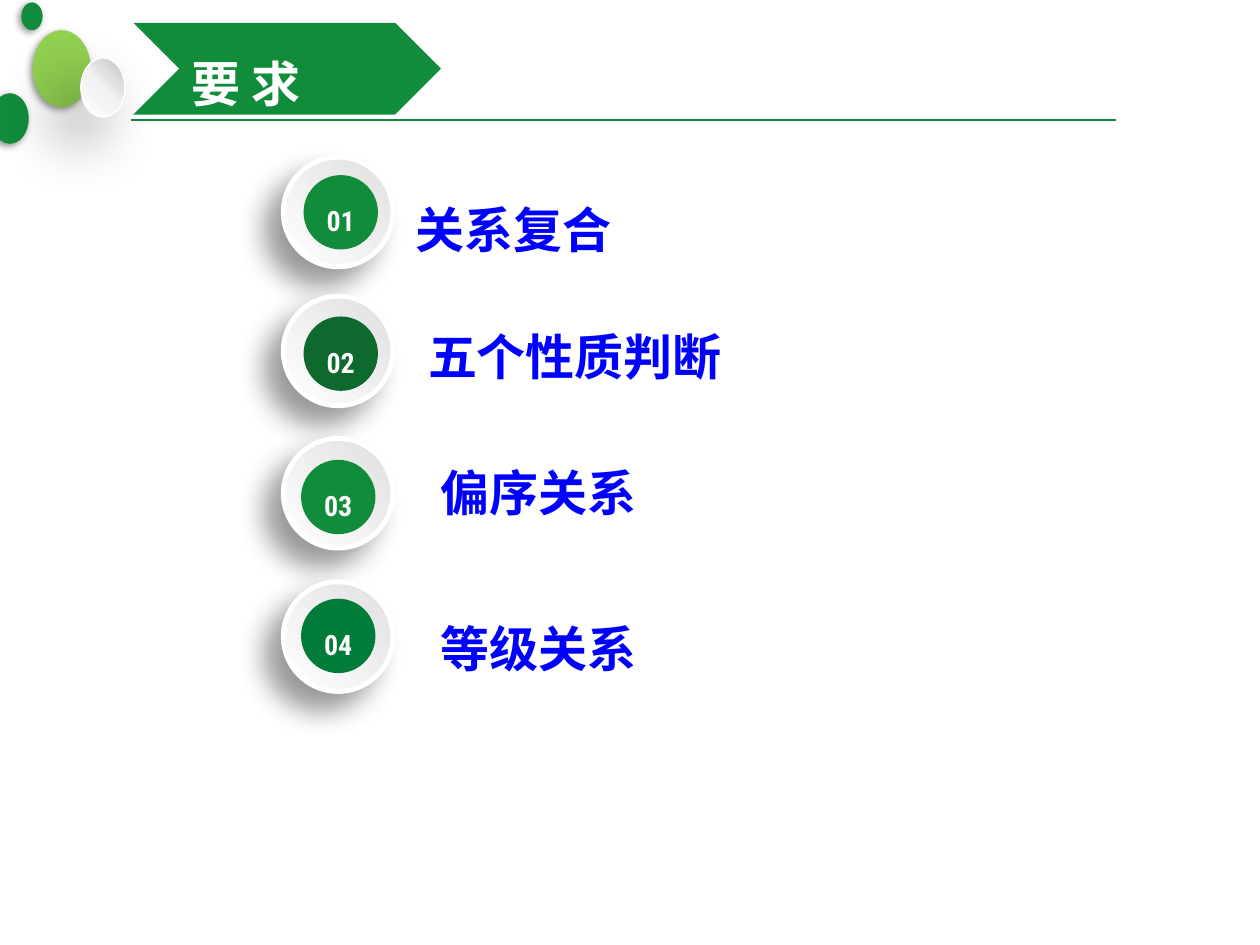
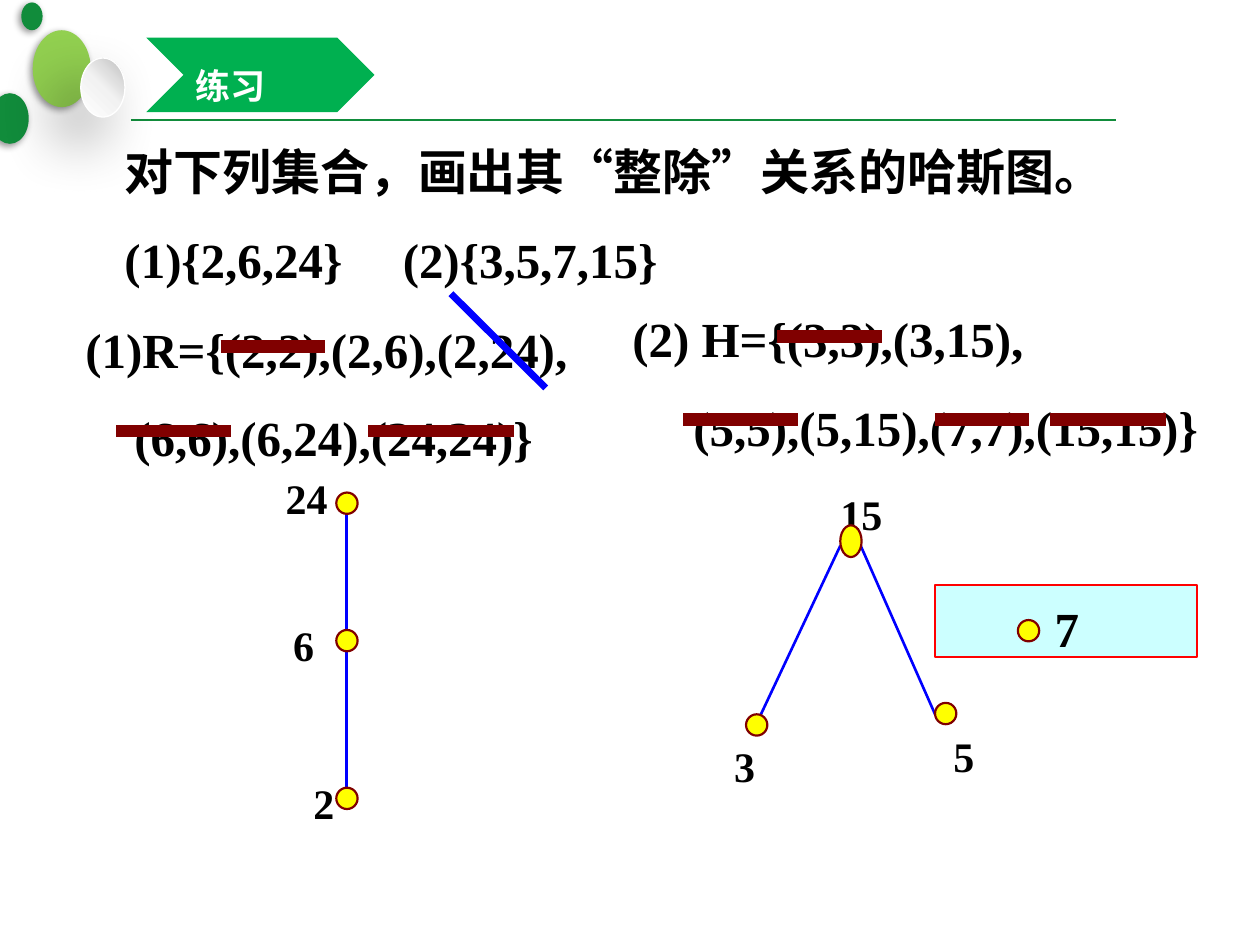
from lxml import etree
from pptx import Presentation
from pptx import util as u
from pptx.dml.color import RGBColor
from pptx.enum import shapes, text
from pptx.oxml import ns

GREEN = RGBColor(0x11, 0x8C, 0x3B)
DARK_GREEN = RGBColor(0x0D, 0x69, 0x2C)
DEEP_GREEN = RGBColor(0x00, 0x7B, 0x38)
BRIGHT_GREEN = RGBColor(0x00, 0xB0, 0x50)
LIME = RGBColor(0x92, 0xD0, 0x50)
WHITE = RGBColor(0xFF, 0xFF, 0xFF)
PALE = RGBColor(0xF2, 0xF2, 0xF2)
SILVER = RGBColor(0xE0, 0xE0, 0xE0)
GRAY = RGBColor(0xBF, 0xBF, 0xBF)
BLACK = RGBColor(0x00, 0x00, 0x00)
BLUE = RGBColor(0x00, 0x00, 0xFF)
RED = RGBColor(0xFF, 0x00, 0x00)
MAROON = RGBColor(0x80, 0x00, 0x00)
YELLOW = RGBColor(0xFF, 0xFF, 0x00)
CYAN = RGBColor(0xCC, 0xFF, 0xFF)
CJK = "Noto Sans CJK SC"
SERIF = "Times New Roman"
KIND = shapes.MSO_SHAPE


def draw(page, kind, place, fill, line=None, weight=1.25, shadow=None):
    shape = page.shapes.add_shape(kind, *map(u.Cm, place))
    shape.shadow.inherit = False
    properties = shape.element.spPr
    if isinstance(fill, RGBColor):
        shape.fill.solid()
        shape.fill.fore_color.rgb = fill
    else:
        angle, stops = fill
        shape.fill.gradient()
        gradient = properties.find(ns.qn("a:gradFill"))
        for child in list(gradient):
            gradient.remove(child)
        stop_list = etree.SubElement(gradient, ns.qn("a:gsLst"))
        for position, color in stops:
            stop = etree.SubElement(stop_list, ns.qn("a:gs"), pos=str(position * 1000))
            etree.SubElement(stop, ns.qn("a:srgbClr"), val=str(color))
        etree.SubElement(gradient, ns.qn("a:lin"), ang=str(angle * 60000), scaled="0")
    if line is None:
        shape.line.fill.background()
    else:
        shape.line.color.rgb = line
        shape.line.width = u.Pt(weight)
    if shadow:
        blur, distance = shadow
        outer = etree.SubElement(
            properties.find(ns.qn("a:effectLst")), ns.qn("a:outerShdw"),
            blurRad=str(u.Pt(blur)), dist=str(u.Pt(distance)),
            dir=str(135 * 60000), algn="tr", rotWithShape="0")
        color = etree.SubElement(outer, ns.qn("a:srgbClr"), val=str(BLACK))
        etree.SubElement(color, ns.qn("a:alpha"), val="40000")
    return shape


def write(frame, lines, spacing, size, name, color, align=text.PP_ALIGN.LEFT, **settings):
    for key, value in settings.items():
        setattr(frame, key, value)
    for index, line in enumerate(lines):
        para = frame.add_paragraph() if index else frame.paragraphs[0]
        para.alignment = align
        para.line_spacing = spacing
        span = para.add_run()
        span.text = line
        formats = {"size": u.Pt(size), "name": name, "bold": True}
        for key, value in formats.items():
            setattr(span.font, key, value)
        span.font.color.rgb = color
        etree.SubElement(span.font._element, ns.qn("a:ea"), typeface=CJK)


deck = Presentation()
deck.slide_width, deck.slide_height = u.Cm(25.4), u.Cm(19.05)
layout = deck.slide_layouts[5]
goals = deck.slides.add_slide(layout)
practice = deck.slides.add_slide(layout)

rule = goals.shapes.add_connector(
    shapes.MSO_CONNECTOR.STRAIGHT, u.Cm(2.64), u.Cm(2.42), u.Cm(22.5), u.Cm(2.42))
rule.line.color.rgb = GREEN
rule.line.width = u.Pt(1.25)
etree.SubElement(rule.element.spPr, ns.qn("a:effectLst"))
layout.shapes.element.append(rule.element)
pearl = (315, [(0, WHITE), (50, PALE), (100, GRAY)])
for place, fill, line, shadow in [
    ((0.66, 0.61, 1.17, 1.55), LIME, None, (4, 2)),
    ((-0.18, 1.88, 0.76, 1.02), GREEN, None, (4, 2)),
    ((1.63, 1.17, 0.89, 1.19), pearl, WHITE, (35, 20)),
    ((0.43, 0.05, 0.43, 0.56), GREEN, None, (4, 2)),
]:
    bubble = draw(goals, KIND.OVAL, place, fill, line, 0.75, shadow)
    layout.shapes.element.append(bubble.element)

for page, words, place, fill, size in [
    (goals, "要 求", (2.69, 0.46, 6.2, 1.85), GREEN, 28),
    (practice, "练习", (2.95, 0.76, 4.6, 1.5), BRIGHT_GREEN, 20),
]:
    banner = draw(page, KIND.CHEVRON, place, fill)
    title = page.shapes.title
    title.element.addprevious(banner.element)
    title.left, title.top, title.width, title.height = map(u.Cm, place)
    write(title.text_frame, [words], 1.5, size, CJK, WHITE,
          margin_left=u.Cm(place[3] / 2 + 0.25), word_wrap=True,
          auto_size=text.MSO_AUTO_SIZE.NONE, vertical_anchor=text.MSO_ANCHOR.MIDDLE)

button = (135, [(0, SILVER), (100, WHITE)])
for number, (words, ring_top, disc_left, disc_top, fill, left, top, width) in enumerate([
    ("关系复合", 3.17, 6.12, 3.53, GREEN, 8.05, 3.78, 6.27),
    ("五个性质判断", 5.97, 6.12, 6.38, DARK_GREEN, 8.3, 6.35, 8.23),
    ("偏序关系", 8.84, 6.07, 9.27, GREEN, 8.56, 9.09, 6.27),
    ("等级关系", 11.73, 6.07, 12.07, DEEP_GREEN, 8.56, 12.24, 5),
], 1):
    draw(goals, KIND.OVAL, (5.71, ring_top, 2.21, 2.21), button, WHITE, 2.75, (16, 14))
    disc = draw(goals, KIND.OVAL, (disc_left, disc_top, 1.5, 1.5), fill)
    write(disc.text_frame, [f"{number:02}"], 1.5, 16, "Roboto Condensed", WHITE,
          text.PP_ALIGN.CENTER, margin_left=0, margin_right=0, margin_top=0,
          margin_bottom=0, vertical_anchor=text.MSO_ANCHOR.MIDDLE)
    box = goals.shapes.add_textbox(*map(u.Cm, (left, top, width, 1.5)))
    write(box.text_frame, [words], 1.2, 28, CJK, BLUE, margin_left=u.Cm(0.33),
          margin_right=u.Cm(0.33), margin_top=0, margin_bottom=0, word_wrap=True)

draw(practice, KIND.RECTANGLE, (18.85, 11.79, 5.28, 1.45), CYAN, RED)

blocks = []
for place, lines, wrap in [
    ((2.26, 2.13, 23.37, 3.81),
     ["对下列集合，画出其“整除”关系的哈斯图。", "{2,6,24}\t(2){3,5,7,15}"], True),
    ((1.47, 5.72, 11, 3.81), ["(1)R={(2,2),(2,6),(2,24),", "(6,6),(6,24),(24,24)}"], True),
    ((12.5, 5.51, 11.94, 3.81),
     ["(2) H={(3,3),(3,15),", "(5,5),(5,15),(7,7),(15,15)}"], False),
]:
    box = practice.shapes.add_textbox(*map(u.Cm, place))
    write(box.text_frame, lines, 1.5, 28, SERIF, BLACK, word_wrap=wrap,
          auto_size=text.MSO_AUTO_SIZE.SHAPE_TO_FIT_TEXT)
    blocks.append(box.text_frame.paragraphs[1]._p.get_or_add_pPr())

question, *answers = blocks
question.set("marL", "0")
question.set("indent", "0")
etree.SubElement(question, ns.qn("a:buFont"), typeface=SERIF)
etree.SubElement(question, ns.qn("a:buAutoNum"), type="arabicParenBoth")
tabs = etree.SubElement(question, ns.qn("a:tabLst"))
etree.SubElement(tabs, ns.qn("a:tab"), pos=str(u.Cm(5.61)), algn="l")
for answer, indent in zip(answers, (0.99, 1.23)):
    answer.set("marL", str(u.Cm(indent)))
    answer.set("indent", "0")

strikes = [(4.45, 6.56, 6.99), (2.34, 4.65, 8.69), (7.42, 10.36, 8.69), (15.67, 17.78, 6.78),
           (13.77, 16.08, 8.46), (18.85, 20.75, 8.46), (21.16, 23.5, 8.46)]
edges = [(6.99, 13.11, 6.99, 15.88), (6.99, 10.24, 6.99, 12.78),
         (16.94, 11, 15.24, 14.61), (17.35, 11, 18.85, 14.4)]
lines = [((start, y, end, y), MAROON, 7.25) for start, end, y in strikes]
lines += [(edge, BLUE, 1.5) for edge in edges]
lines.append(((9.09, 5.92, 11, 7.82), BLUE, 4))
for ends, color, weight in lines:
    link = practice.shapes.add_connector(shapes.MSO_CONNECTOR.STRAIGHT, *map(u.Cm, ends))
    link.line.color.rgb = color
    link.line.width = u.Pt(weight)
    etree.SubElement(link.element.spPr, ns.qn("a:effectLst"))

for label, place, size, left, top, height in [
    ("24", (5.51, 8.89, 1.35, 1.78), 24, 6.78, 9.93, 0.43),
    ("6", (5.66, 11.86, 0.91, 1.78), 24, 6.78, 12.7, 0.43),
    ("2", (6.07, 15.04, 0.91, 1.78), 24, 6.78, 15.88, 0.43),
    ("15", (16.69, 9.22, 1.35, 1.78), 24, 16.94, 10.59, 0.64),
    ("3", (14.55, 14.3, 0.91, 1.78), 24, 15.04, 14.4, 0.43),
    ("5", (18.97, 14.1, 0.91, 1.78), 24, 18.85, 14.17, 0.43),
    ("7", (21.01, 11.35, 0.99, 2.03), 28, 20.52, 12.5, 0.43),
]:
    box = practice.shapes.add_textbox(*map(u.Cm, place))
    write(box.text_frame, [label], 1.5, size, SERIF, BLACK, word_wrap=False,
          auto_size=text.MSO_AUTO_SIZE.SHAPE_TO_FIT_TEXT)
    draw(practice, KIND.OVAL, (left, top, 0.43, height), YELLOW, MAROON)

deck.save("out.pptx")
